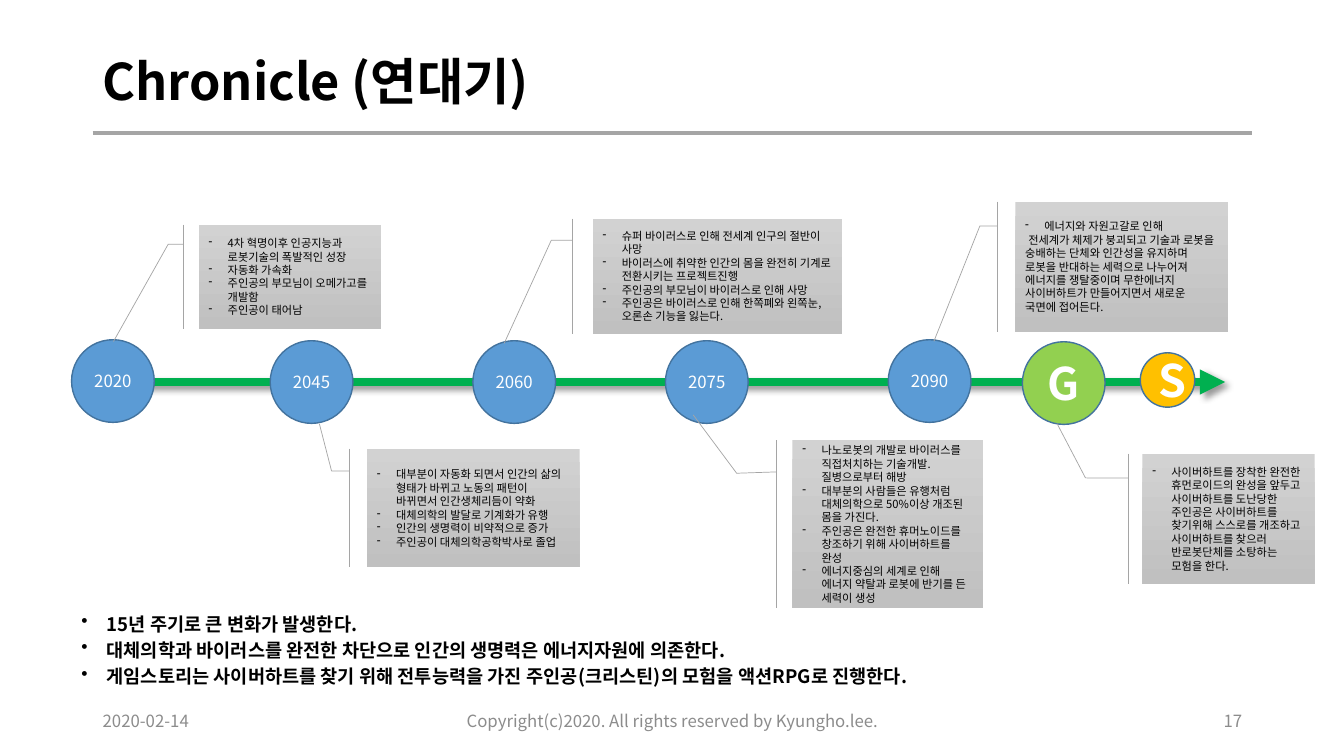
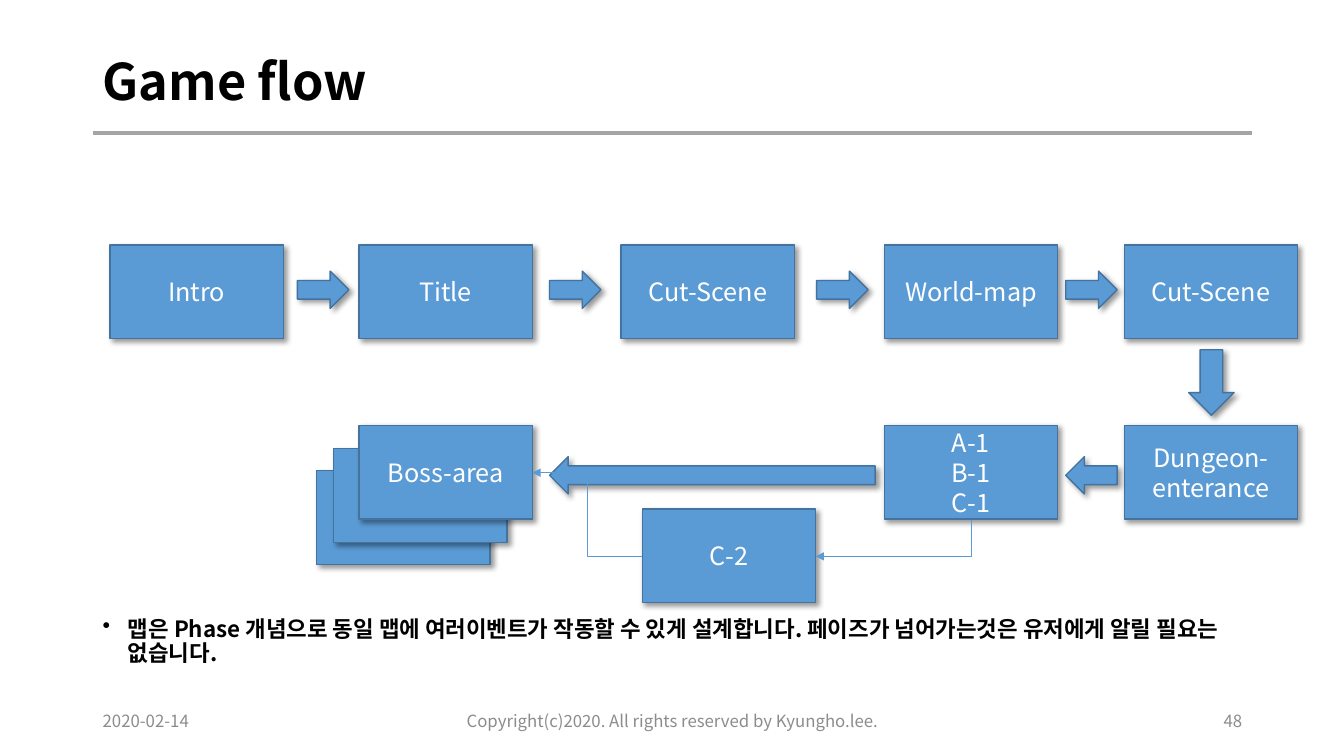
import pptx
import pptx.dml.color
import pptx.enum.shapes
import pptx.enum.text
import pptx.oxml
import pptx.oxml.ns
import pptx.util

Inches = pptx.util.Inches
Pt = pptx.util.Pt
qn = pptx.oxml.ns.qn
SHAPE = pptx.enum.shapes.MSO_SHAPE
LINK = pptx.enum.shapes.MSO_CONNECTOR
ALIGN = pptx.enum.text.PP_ALIGN
MIDDLE = pptx.enum.text.MSO_ANCHOR.MIDDLE
TOP = pptx.enum.text.MSO_ANCHOR.TOP


def rgb(value):
    return pptx.dml.color.RGBColor.from_string(value)


def add_xml(parent, tag, **attrs):
    child = parent.makeelement(qn(tag), attrs)
    parent.append(child)
    return child


class Deck:
    FONT = "Noto Sans CJK KR"
    BLACK, WHITE, GREY, MUTED = "000000", "FFFFFF", "A5A5A5", "8C8C8C"
    BLUE, NAVY, GREEN = "5B9BD5", "43739E", "00B050"
    LIME, AMBER = "92D050", "FFC000"

    def __init__(self):
        self.prs = pptx.Presentation()
        self.prs.slide_width = Inches(13.33)
        self.prs.slide_height = Inches(7.5)
        self.s = None

    def slide(self, title, number):
        self.s = self.prs.slides.add_slide(self.prs.slide_layouts[6])
        self.line((0.92, 1.32), (12.42, 1.32), self.GREY, 2.25)
        self.text((0.92, 0.4, 11.5, 0.87), [title], 36, bold=True, spacing=0.9)
        footers = [
            (0.92, 3, "2020-02-14", ALIGN.LEFT),
            (4.42, 4.5, "Copyright(c)2020. All rights reserved by Kyungho.lee.", ALIGN.CENTER),
            (9.42, 3, str(number), ALIGN.RIGHT),
        ]
        for left, width, words, align in footers:
            self.text((left, 6.95, width, 0.4), [words], 12, self.MUTED, align=align)

    def fill_text(self, tf, lines, size, color, bold=False, align=ALIGN.LEFT,
                  bullet=None, indent=0.25, spacing=None, before=0):
        for i, words in enumerate(lines):
            p = tf.paragraphs[0] if i == 0 else tf.add_paragraph()
            p.alignment = align
            if bullet:
                pPr = p._p.get_or_add_pPr()
                pPr.set("marL", str(Inches(indent)))
                pPr.set("indent", str(-Inches(indent)))
                add_xml(pPr, "a:buChar", char=bullet)
            if spacing:
                p.line_spacing = spacing
            if i and before:
                p.space_before = Pt(before)
            r = p.add_run()
            r.text = words
            r.font.size = Pt(size)
            r.font.bold = bold
            r.font.color.rgb = rgb(color)
            r.font.name = self.FONT
            add_xml(r._r.get_or_add_rPr(), "a:ea", typeface=self.FONT)

    def text(self, box, lines, size, color=BLACK, anchor=MIDDLE, **style):
        sp = self.s.shapes.add_textbox(*map(Inches, box))
        tf = sp.text_frame
        tf.word_wrap = True
        tf.vertical_anchor = anchor
        self.fill_text(tf, lines, size, color, **style)

    def cast_shadow(self, effects):
        shadow = add_xml(effects, "a:outerShdw", blurRad=str(Pt(4)), dist=str(Pt(3)),
                         dir="2700000", algn="tl", rotWithShape="0")
        add_xml(add_xml(shadow, "a:srgbClr", val=self.BLACK), "a:alpha", val="40000")

    def shape(self, kind, box, fill=BLUE, shadow=False):
        sp = self.s.shapes.add_shape(kind, *map(Inches, box))
        sp.shadow.inherit = False
        sp.fill.solid()
        sp.fill.fore_color.rgb = rgb(fill)
        sp.line.color.rgb = rgb(self.NAVY)
        sp.line.width = Pt(1)
        if shadow:
            self.cast_shadow(sp._element.spPr.find(qn("a:effectLst")))
        return sp

    def circle(self, left, top, size, words, fill=BLUE, points=12, bold=False):
        sp = self.shape(SHAPE.OVAL, (left, top, size, size), fill)
        self.fill_text(sp.text_frame, [words], points, self.WHITE, bold, ALIGN.CENTER)

    def step(self, left, top, *lines):
        sp = self.shape(SHAPE.RECTANGLE, (left, top, 1.72, 0.93), shadow=True)
        if lines:
            self.fill_text(sp.text_frame, lines, 18, self.WHITE, align=ALIGN.CENTER)

    def arrow(self, left, top, width=0.51, height=0.37, kind=SHAPE.RIGHT_ARROW, turn=0):
        sp = self.shape(kind, (left, top, width, height), shadow=True)
        sp.rotation = turn

    def callout(self, box, bend, lines):
        sp = self.shape(SHAPE.LINE_CALLOUT_2_ACCENT_BAR, box)
        for i, value in enumerate((0.188, -0.083) + bend):
            sp.adjustments[i] = value
        sp.fill.gradient()
        sp.fill.gradient_angle = 270
        for stop, color in zip(sp.fill.gradient_stops, ("D2D2D2", "C0C0C0")):
            stop.color.rgb = rgb(color)
        sp.line.color.rgb = rgb(self.GREY)
        sp.line.width = Pt(0.5)
        self.fill_text(sp.text_frame, lines, 8, self.BLACK, bullet="-", indent=0.19)
        return sp

    def line(self, start, end, color, width, kind=LINK.STRAIGHT, head=False, shadow=False):
        cx = self.s.shapes.add_connector(kind, *map(Inches, start + end))
        cx.line.color.rgb = rgb(color)
        cx.line.width = Pt(width)
        if head:
            add_xml(cx._element.spPr.find(qn("a:ln")), "a:tailEnd", type="triangle")
        effects = add_xml(cx._element.spPr, "a:effectLst")
        if shadow:
            self.cast_shadow(effects)
        return cx

    def corner(self, start, end):
        (x1, y1), (x2, y2) = start, end
        mid_x, mid_y = (x1 + x2) / 2, (y1 + y2) / 2
        half_w, half_h = (y2 - y1) / 2, (x1 - x2) / 2
        cx = self.line((mid_x - half_w, mid_y - half_h), (mid_x + half_w, mid_y + half_h),
                       self.BLUE, 0.5, LINK.ELBOW, head=True)
        spPr = cx._element.spPr
        spPr.find(qn("a:xfrm")).set("rot", "5400000")
        spPr.find(qn("a:prstGeom")).set("prst", "bentConnector2")


def chronicle(deck):
    deck.slide("Chronicle (연대기)", 17)
    deck.text((0.71, 6.09, 11.71, 0.87), [
        "15년 주기로 큰 변화가 발생한다.",
        "대체의학과 바이러스를 완전한 차단으로 인간의 생명력은 에너지자원에 의존한다.",
        "게임스토리는 사이버하트를 찾기 위해 전투능력을 가진 주인공(크리스틴)의 모험을 액션RPG로 진행한다.",
    ], 13.3, anchor=TOP, bold=True, bullet="•", spacing=0.7, before=7.5)
    deck.line((0.92, 3.79), (12.15, 3.79), deck.GREEN, 6, head=True, shadow=True)
    years = [(0.71, 3.37, "2020"), (2.68, 3.38, "2045"), (4.69, 3.38, "2060"),
             (6.6, 3.38, "2075"), (8.81, 3.37, "2090")]
    for left, top, year in years:
        deck.circle(left, top, 0.82, year)
    deck.circle(10.14, 3.39, 0.82, "G", deck.LIME, 32, True)
    deck.circle(11.31, 3.5, 0.54, "S", deck.AMBER, 32, True)

    deck.callout((1.97, 2.23, 1.81, 1.03), (0.188, -0.167, 1.125, -0.467), [
        "4차 혁명이후 인공지능과 로봇기술의 폭발적인 성장",
        "자동화 가속화",
        "주인공의 부모님이 오메가고를 개발함",
        "주인공이 태어남",
    ])
    deck.callout((3.64, 4.45, 2.11, 1.18), (0.188, -0.167, -0.208, -0.224), [
        "대부분이 자동화 되면서 인간의 삶의 형태가 바뀌고 노동의 패턴이 바뀌면서 인간생체리듬이 약화",
        "대체의학의 발달로 기계화가 유행",
        "인간의 생명력이 비약적으로 증가",
        "주인공이 대체의학공학박사로 졸업",
    ])
    deck.callout((5.88, 2.17, 2.47, 1.14), (0.188, -0.167, 1.085, -0.356), [
        "슈퍼 바이러스로 인해 전세계 인구의 절반이 사망",
        "바이러스에 취약한 인간의 몸을 완전히 기계로 전환시키는 프로젝트진행",
        "주인공의 부모님이 바이러스로 인해 사망",
        "주인공은 바이러스로 인해 한쪽폐와 왼쪽눈, 오론손 기능을 잃는다.",
    ])
    deck.callout((7.86, 4.37, 1.89, 1.66), (0.196, -0.293, -0.153, -0.521), [
        "나노로봇의 개발로 바이러스를 직접처치하는 기술개발. 질병으로부터 해방",
        "대부분의 사람들은 유행처럼 대체의학으로 50%이상 개조된 몸을 가진다.",
        "주인공은 완전한 휴머노이드를 창조하기 위해 사이버하트를 완성",
        "에너지중심의 세계로 인해 에너지 약탈과 로봇에 반기를 든 세력이 생성",
    ])
    sp = deck.callout((10.07, 2, 2.11, 1.29), (0.188, -0.167, 1.075, -0.383), [
        "에너지와 자원고갈로 인해",
        "전세계가 체제가 붕괴되고 기술과 로봇을 숭배하는 단체와 인간성을 유지하며 "
        "로봇을 반대하는 세력으로 나누어져 에너지를 쟁탈중이며 무한에너지 "
        "사이버하트가 만들어지면서 새로운 국면에 접어든다.",
    ])
    pPr = sp.text_frame.paragraphs[1]._p.get_or_add_pPr()
    pPr.remove(pPr.find(qn("a:buChar")))
    pPr.set("marL", "0")
    pPr.set("indent", str(Inches(0.03)))
    deck.callout((11.33, 4.5, 1.71, 1.29), (0.187, -0.33, -0.231, -0.495), [
        "사이버하트를 장착한 완전한 휴먼로이드의 완성을 앞두고 사이버하트를 도난당한 "
        "주인공은 사이버하트를 찾기위해 스스로를 개조하고 사이버하트를 찾으러 "
        "반로봇단체를 소탕하는 모험을 한다.",
    ])


def game_flow(deck):
    deck.slide("Game flow", 48)
    deck.text((0.92, 6.08, 11.5, 0.68), [
        "맵은 Phase 개념으로 동일 맵에 여러이벤트가 작동할 수 있게 설계합니다. "
        "페이즈가 넘어가는것은 유저에게 알릴 필요는 없습니다.",
    ], 16, anchor=TOP, bold=True, bullet="•", spacing=0.9)
    upper, lower = 2.43, 4.22
    scenes = [(1.09, "Intro"), (3.56, "Title"), (6.16, "Cut-Scene"),
              (8.77, "World-map"), (11.15, "Cut-Scene")]
    for left, name in scenes:
        deck.step(left, upper, name)
    deck.step(11.15, lower, "Dungeon-enterance")
    deck.step(8.77, lower, "A-1", "B-1", "C-1")
    for left in (2.95, 5.45, 8.1, 10.57):
        deck.arrow(left, 2.69)
    deck.arrow(11.79, 3.47, 0.45, 0.65, SHAPE.DOWN_ARROW)
    for left, width in ((10.57, 0.51), (5.45, 3.23)):
        deck.arrow(left, 4.53, width, turn=180)
    deck.step(3.14, 4.67)
    deck.step(3.31, 4.45)
    deck.step(3.56, lower, "Boss-area")
    deck.step(6.37, 5.05, "C-2")
    deck.corner((9.63, 5.16), (8.09, 5.52))
    deck.line((6.37, 5.52), (5.28, 4.69), deck.BLUE, 0.5, LINK.ELBOW, head=True)


def main():
    deck = Deck()
    chronicle(deck)
    game_flow(deck)
    deck.prs.save("out.pptx")


if __name__ == "__main__":
    main()
